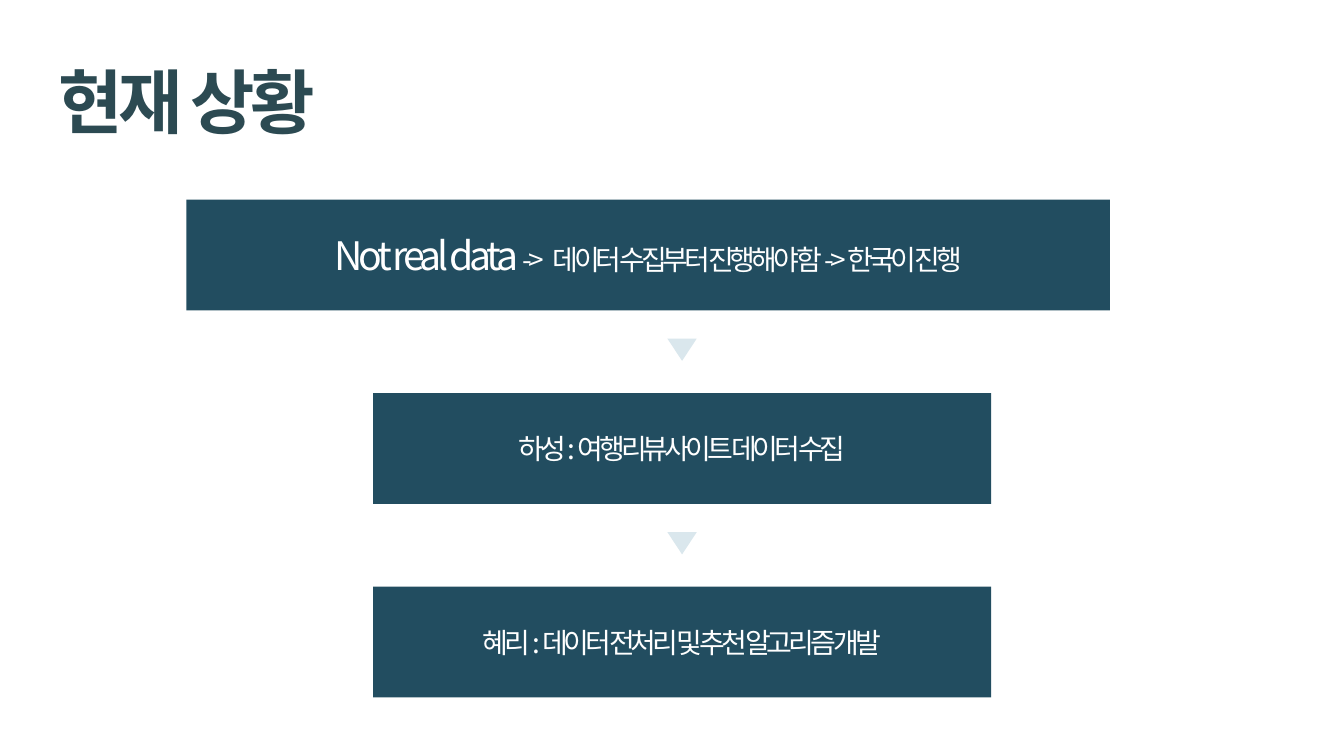
import pptx
import pptx.util
import pptx.dml.color
import pptx.enum.shapes
import pptx.enum.text
import lxml.etree

PX = 9144  # 100 px to the inch
FONT = "Noto Sans CJK KR"
HUES = {"title": "2C4A52", "step": "224D60", "arrow": "DAE7ED", "text": "FFFFFF"}
KIND = pptx.enum.shapes.MSO_SHAPE
ALIGN = pptx.enum.text.PP_ALIGN
ANCHOR = pptx.enum.text.MSO_ANCHOR

WIDE = (185, 916)
SLIM = (370, 613)
TOP, HIGH, PITCH = 198, 110, 192
STEPS = [
    (WIDE, [("Not real data ", 28), ("->", 20), (" ", 28),
            ("데이터 수집부터 진행해야 함 -> 한국이 진행", 20)]),
    (SLIM, [("하성 : 여행리뷰사이트 데이터 수집", 20)]),
    (SLIM, [("혜리 : 데이터 전처리 및 추천 알고리즘 개발", 20)]),
]


def emu(box):
    return [pptx.util.Emu(n * PX) for n in box]


def hue(name):
    return pptx.dml.color.RGBColor.from_string(HUES[name])


def write(frame, runs, color, align, bold=False):
    """Fill the frame's first paragraph with (text, size) runs."""
    frame.word_wrap = True
    para = frame.paragraphs[0]
    para.alignment = align
    for text, size in runs:
        run = para.add_run()
        run.text = text
        look = {"name": FONT, "size": pptx.util.Pt(size), "bold": bold}
        for key, value in look.items():
            setattr(run.font, key, value)
        run.font.color.rgb = hue(color)
        props = run.font._element
        props.set("spc", "-300")
        east = lxml.etree.SubElement(props, pptx.oxml.ns.qn("a:ea"))
        east.set("typeface", FONT)


def block(slide, kind, box, color):
    shape = slide.shapes.add_shape(kind, *emu(box))
    shape.shadow.inherit = False
    shape.fill.solid()
    shape.fill.fore_color.rgb = hue(color)
    shape.line.fill.background()
    return shape


def title(slide, box):
    frame = slide.shapes.add_textbox(*emu(box)).text_frame
    write(frame, [("현재 상황", 50)], "title", ALIGN.LEFT, True)


def step(slide, box, runs):
    shape = block(slide, KIND.RECTANGLE, box, "step")
    shape.text_frame.vertical_anchor = ANCHOR.MIDDLE
    write(shape.text_frame, runs, "text", ALIGN.CENTER)


def arrow(slide, box):
    """Place a downward triangle in the gap above a step's box."""
    left, top, width, _ = box
    place = (left + (width - 29) // 2, top - 54, 29, 22)
    block(slide, KIND.ISOSCELES_TRIANGLE, place, "arrow").rotation = 180


def main():
    deck = pptx.Presentation()
    deck.slide_width, deck.slide_height = emu((1333, 750))
    slide = deck.slides.add_slide(deck.slide_layouts[6])
    title(slide, (48, 53, 533, 94))
    for i, ((left, width), runs) in enumerate(STEPS):
        box = (left, TOP + i * PITCH, width, HIGH)
        step(slide, box, runs)
        if i:
            arrow(slide, box)
    deck.save("out.pptx")


if __name__ == "__main__":
    main()
